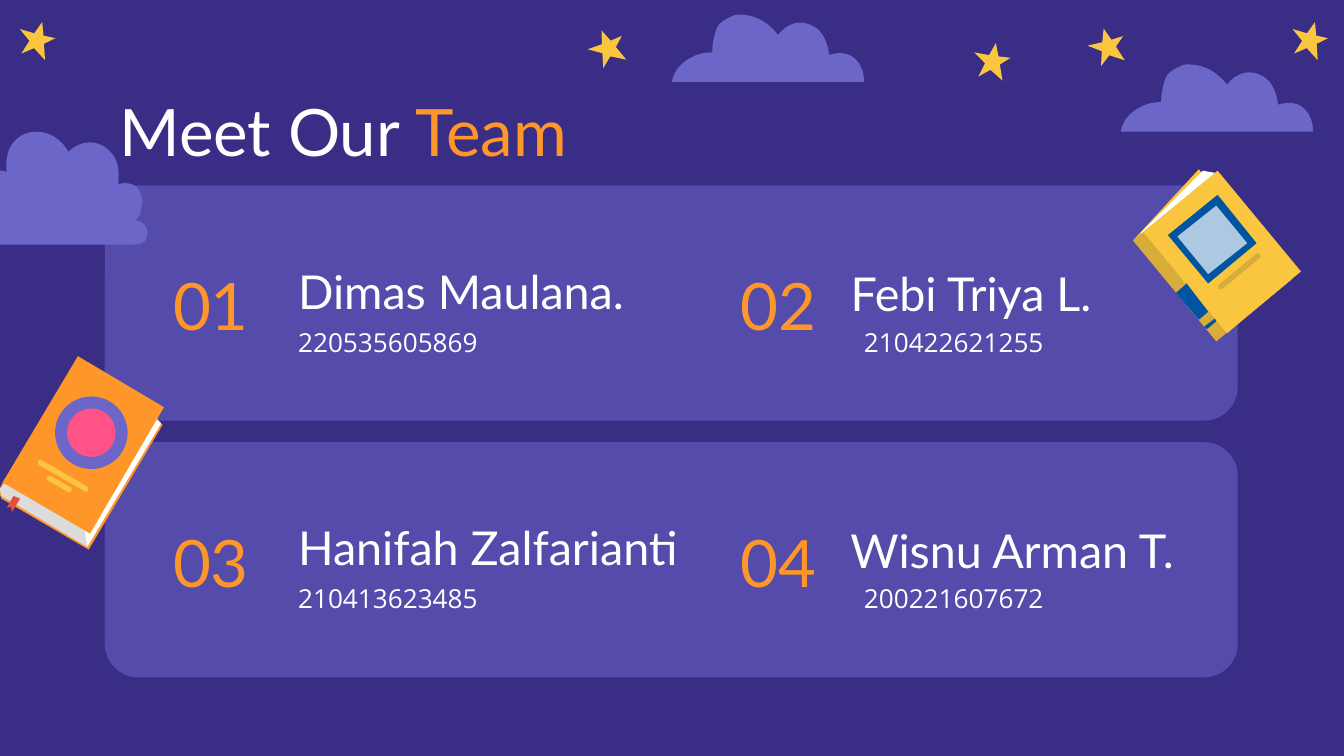
"""Build a night-sky team slide with four members on two cards."""
from dataclasses import dataclass
from typing import Any

import pptx
import pptx.dml.color
import pptx.enum.shapes
import pptx.enum.text
import pptx.oxml
import pptx.oxml.ns
import pptx.util

COLUMNS, ROWS = 10, 5.625
CELL = pptx.util.Inches(1)
COLORS = {
    "night": "392D86", "cloud": "6C66C9", "gold": "FAC63F", "orange": "FF9629",
    "white": "FFFFFF", "shade": "191919", "red": "E3513A", "pink": "FF5288", "blue": "0054A2",
}
KINDS = pptx.enum.shapes.MSO_SHAPE
ANCHORS = pptx.enum.text.MSO_ANCHOR
ALIGNS = pptx.enum.text.PP_ALIGN
Points = list[tuple[float, float]]


@dataclass
class Outline:
    points: Points
    color: str
    alpha: int = 100
    left: float = 0
    top: float = 0
    turn: float = 0


@dataclass
class Preset:
    kind: Any
    left: float
    top: float
    width: float
    height: float
    color: str
    alpha: int = 100
    turn: float = 0
    corner: float | None = None


@dataclass
class Label:
    spans: list[tuple[str, str]]
    left: float
    top: float
    width: float
    height: float
    font: dict[str, Any]
    frame: dict[str, Any]
    para: dict[str, Any]


@dataclass
class Member:
    number: str
    name: str
    code: str
    name_width: float


@dataclass
class MemberColumn:
    number_left: float
    name_left: float
    code_left: float
    name_drop: float


def cells(count: float) -> int:
    return pptx.util.Emu(round(count * CELL))


def set_all(target: Any, values: dict[str, Any]) -> None:
    for name, value in values.items():
        setattr(target, name, value)


def rgb(color: str) -> pptx.dml.color.RGBColor:
    return pptx.dml.color.RGBColor.from_string(COLORS[color])


def paint(shape: Any, color: str, alpha: int, turn: float) -> None:
    shape.shadow.inherit = False
    shape.line.fill.background()
    shape.fill.solid()
    shape.fill.fore_color.rgb = rgb(color)
    shape.rotation = turn
    if alpha < 100:
        tint = shape.fill._xPr.find(".//" + pptx.oxml.ns.qn("a:srgbClr"))
        opacity = pptx.oxml.parse_xml(f'<a:alpha {pptx.oxml.ns.nsdecls("a")} val="{alpha * 1000}"/>')
        tint.append(opacity)


def draw(shapes: Any, part: Outline | Preset) -> None:
    if isinstance(part, Outline):
        spots = [(cells(part.left + x), cells(part.top + y)) for x, y in part.points]
        builder = shapes.build_freeform(*spots[0])
        builder.add_line_segments(spots[1:], close=True)
        shape = builder.convert_to_shape()
    else:
        shape = shapes.add_shape(part.kind, *map(cells, (part.left, part.top, part.width, part.height)))
        if part.corner is not None:
            shape.adjustments[0] = part.corner
    paint(shape, part.color, part.alpha, part.turn)


def write(shapes: Any, label: Label) -> None:
    box = shapes.add_textbox(*map(cells, (label.left, label.top, label.width, label.height)))
    margins = {f"margin_{side}": cells(0.1) for side in ("left", "top", "right", "bottom")}
    set_all(box.text_frame, {"word_wrap": True, **margins, **label.frame})
    para = box.text_frame.paragraphs[0]
    set_all(para, label.para)
    for text, color in label.spans:
        span = para.add_run()
        span.text = text
        set_all(span.font, label.font)
        span.font.color.rgb = rgb(color)


def curve(knots: Points, steps: int = 8) -> Points:
    """Trace a chain of cubic curves, each sharing its end with the next."""
    points = [knots[0]]
    for first in range(0, len(knots) - 1, 3):
        a, b, c, d = knots[first:first + 4]
        for step in range(1, steps + 1):
            t = step / steps
            weights = ((1 - t) ** 3, 3 * t * (1 - t) ** 2, 3 * t * t * (1 - t), t ** 3)
            points.append(tuple(sum(w * p[axis] for w, p in zip(weights, (a, b, c, d))) for axis in (0, 1)))
    return points


def bar(x: float, y: float, length: float, color: str, turn: float, alpha: int = 100) -> Preset:
    return Preset(KINDS.ROUNDED_RECTANGLE, x - length / 2, y - 0.02, length, 0.04, color, alpha, turn, 0.5)


BIG_CLOUD = curve([
    (1, 1.82), (1.04, 1.82), (1.08, 1.81), (1.09, 1.77), (1.11, 1.72), (1.09, 1.65), (1.01, 1.64),
    (1.02, 1.63), (1.03, 1.61), (1.04, 1.6), (1.05, 1.56), (1.06, 1.53), (1.06, 1.49),
    (1.05, 1.45), (1.04, 1.4), (1, 1.38), (0.96, 1.36), (0.92, 1.36), (0.88, 1.37),
    (0.89, 1.28), (0.88, 1.19), (0.83, 1.14), (0.79, 1.09), (0.73, 1.06), (0.67, 1.06),
    (0.61, 1.06), (0.55, 1.09), (0.51, 1.13), (0.47, 1.06), (0.41, 1.01), (0.34, 0.99),
    (0.27, 0.97), (0.19, 0.98), (0.13, 1.03), (0.06, 1.09), (0.04, 1.17), (0.05, 1.28),
    (0, 1.26), (-0.05, 1.27), (-0.09, 1.32), (-0.12, 1.29), (-0.17, 1.28), (-0.21, 1.28),
    (-0.25, 1.28), (-0.29, 1.29), (-0.32, 1.3), (-0.36, 1.32), (-0.4, 1.36), (-0.43, 1.4),
    (-0.45, 1.45), (-0.46, 1.5), (-0.45, 1.54), (-0.5, 1.55), (-0.55, 1.59), (-0.56, 1.64),
    (-0.6, 1.74), (-0.52, 1.82), (-0.41, 1.82)])
SMALL_CLOUD = curve([
    (1.43, 0.5), (1.43, 0.42), (1.4, 0.35), (1.34, 0.31), (1.29, 0.28), (1.23, 0.28), (1.17, 0.3),
    (1.16, 0.22), (1.13, 0.13), (1.06, 0.09), (0.96, 0.03), (0.86, 0.06), (0.79, 0.15),
    (0.72, 0.06), (0.62, 0), (0.51, 0), (0.49, 0), (0.47, 0), (0.45, 0.01),
    (0.41, 0.03), (0.35, 0.05), (0.33, 0.11), (0.31, 0.17), (0.3, 0.22), (0.3, 0.28),
    (0.25, 0.28), (0.2, 0.29), (0.16, 0.31), (0.09, 0.34), (0.01, 0.41), (0, 0.5)])
STAR = [(0.16, 0), (0.11, 0.09), (0, 0.07), (0.08, 0.15), (0.03, 0.25), (0.12, 0.2),
        (0.21, 0.28), (0.19, 0.16), (0.27, 0.11), (0.18, 0.1)]
SKY = [Outline(BIG_CLOUD, "cloud")]
SKY += [Outline(SMALL_CLOUD, "cloud", left=x, top=y) for x, y in ((5, 0.11), (8.34, 0.48))]
SKY += [Outline(STAR, "gold", left=x, top=y, turn=turn) for x, y, turn in (
    (4.39, 0.22, 330), (0.14, 0.16, 6), (7.25, 0.32, 0), (8.11, 0.21, 336.5), (9.61, 0.16, 6))]

ORANGE_BOOK = [
    Outline([(0.56, 2.78), (0.02, 3.59), (-0.01, 3.65), (0.01, 3.71), (0.66, 4.09), (1.21, 3.16)], "orange"),
    Outline([(0.56, 2.76), (0.04, 3.59), (0, 3.64), (0.01, 3.69), (0.65, 4.07), (1.2, 3.15),
             (1.17, 3.12), (1.18, 3.05)], "white"),
    Outline([(0.09, 3.55), (0.04, 3.59), (0, 3.64), (0.01, 3.69), (0.65, 4.07), (0.63, 3.95)], "shade", 15),
    Outline([(0.1, 3.69), (0.05, 3.78), (0.08, 3.77), (0.09, 3.81), (0.15, 3.71)], "red"),
    Outline([(0.58, 2.65), (0.02, 3.59), (0.67, 3.97), (1.22, 3.03)], "orange"),
    bar(0.47, 3.54, 0.43, "gold", 30),
    bar(0.44, 3.6, 0.21, "gold", 30),
    Preset(KINDS.OVAL, 0.41, 2.95, 0.54, 0.54, "cloud"),
    Preset(KINDS.OVAL, 0.5, 3.04, 0.36, 0.36, "pink"),
]
BACK_COVER = [(8.99, 1.33), (8.43, 1.79), (9.05, 2.54), (9.61, 2.08)]
YELLOW_BOOK = [
    Outline([(8.92, 1.26), (8.43, 1.79), (9.08, 1.46)], "gold"),
    Outline([(8.95, 1.27), (8.49, 1.73), (8.51, 1.78), (8.97, 1.72), (9.06, 1.29)], "white"),
    Outline(BACK_COVER, "gold"),
    Outline(BACK_COVER, "shade", 15),
    Outline([(9.06, 1.27), (8.51, 1.73), (9.13, 2.48), (9.68, 2.02)], "gold"),
    Outline([(9.04, 2.37), (8.96, 2.43), (8.98, 2.45), (9.05, 2.39)], "blue"),
    Outline([(8.83, 2.11), (8.75, 2.18), (8.92, 2.38), (8.99, 2.32)], "blue"),
    Outline([(9.06, 1.45), (8.69, 1.75), (8.99, 2.11), (9.35, 1.81)], "blue"),
    Outline([(9.05, 1.53), (8.76, 1.76), (8.99, 2.04), (9.28, 1.81)], "white", 68),
    bar(9.22, 2.02, 0.4, "shade", -39.5, 15),
]

MEMBERS = [
    Member("01", "Dimas Maulana.", "220535605869", 2.93),
    Member("02", "Febi Triya L.", "210422621255", 3.02),
    Member("03", "Hanifah Zalfarianti", "210413623485", 4.11),
    Member("04", "Wisnu Arman T.", "200221607672", 3.6),
]
MEMBER_COLUMNS = [MemberColumn(1.11, 2.12, 2.12, 0), MemberColumn(5.33, 6.23, 6.33, 0.02)]
CARD_TOP, CARD_PITCH = 1.38, 1.91
HEADING = {"name": "Lato", "size": pptx.util.Pt(35)}
NAME = {"name": "Lato", "size": pptx.util.Pt(25)}
CODE = {"name": "Open Sans", "size": pptx.util.Pt(14)}


def member_labels(member: Member, column: MemberColumn, top: float) -> list[Label]:
    return [
        Label([(member.number, "orange")], column.number_left, top, 0.92, 0.65, HEADING,
              {"vertical_anchor": ANCHORS.MIDDLE}, {"alignment": ALIGNS.CENTER}),
        Label([(member.code, "white")], column.code_left, top + 0.35, 2.56, 0.65, CODE,
              {}, {"line_spacing": 1.15}),
        Label([(member.name, "white")], column.name_left, top + column.name_drop, member.name_width, 0.53,
              NAME, {"vertical_anchor": ANCHORS.BOTTOM}, {}),
    ]


def main() -> None:
    deck = pptx.Presentation()
    set_all(deck, {"slide_width": cells(COLUMNS), "slide_height": cells(ROWS)})
    page = deck.slides.add_slide(deck.slide_layouts[6])
    page.background.fill.solid()
    page.background.fill.fore_color.rgb = rgb("night")
    cards = [Preset(KINDS.ROUNDED_RECTANGLE, 0.78, CARD_TOP + row * CARD_PITCH, 8.43, 1.75, "cloud", 54,
                    corner=0.143) for row in range(2)]
    for part in SKY + cards:
        draw(page.shapes, part)
    write(page.shapes, Label([("Meet Our ", "white"), ("Team", "orange")], 0.79, 0.58, 8.43, 0.63, HEADING, {}, {}))
    for index, member in enumerate(MEMBERS):
        row, column = divmod(index, len(MEMBER_COLUMNS))
        for label in member_labels(member, MEMBER_COLUMNS[column], CARD_TOP + 0.56 + row * CARD_PITCH):
            write(page.shapes, label)
    for book in (ORANGE_BOOK, YELLOW_BOOK):
        group = page.shapes.add_group_shape()
        for part in book:
            draw(group.shapes, part)
    deck.save("out.pptx")


if __name__ == "__main__":
    main()
